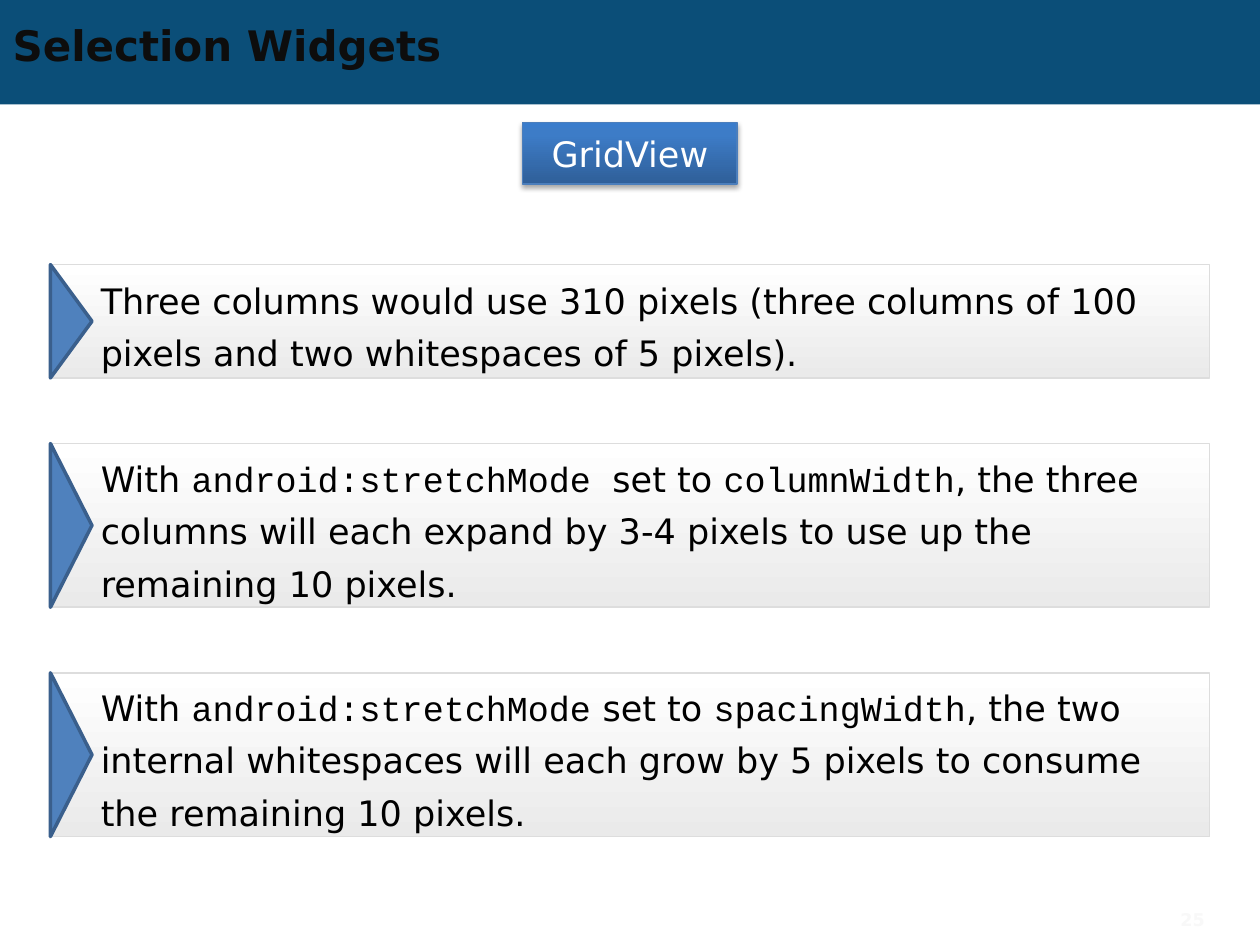
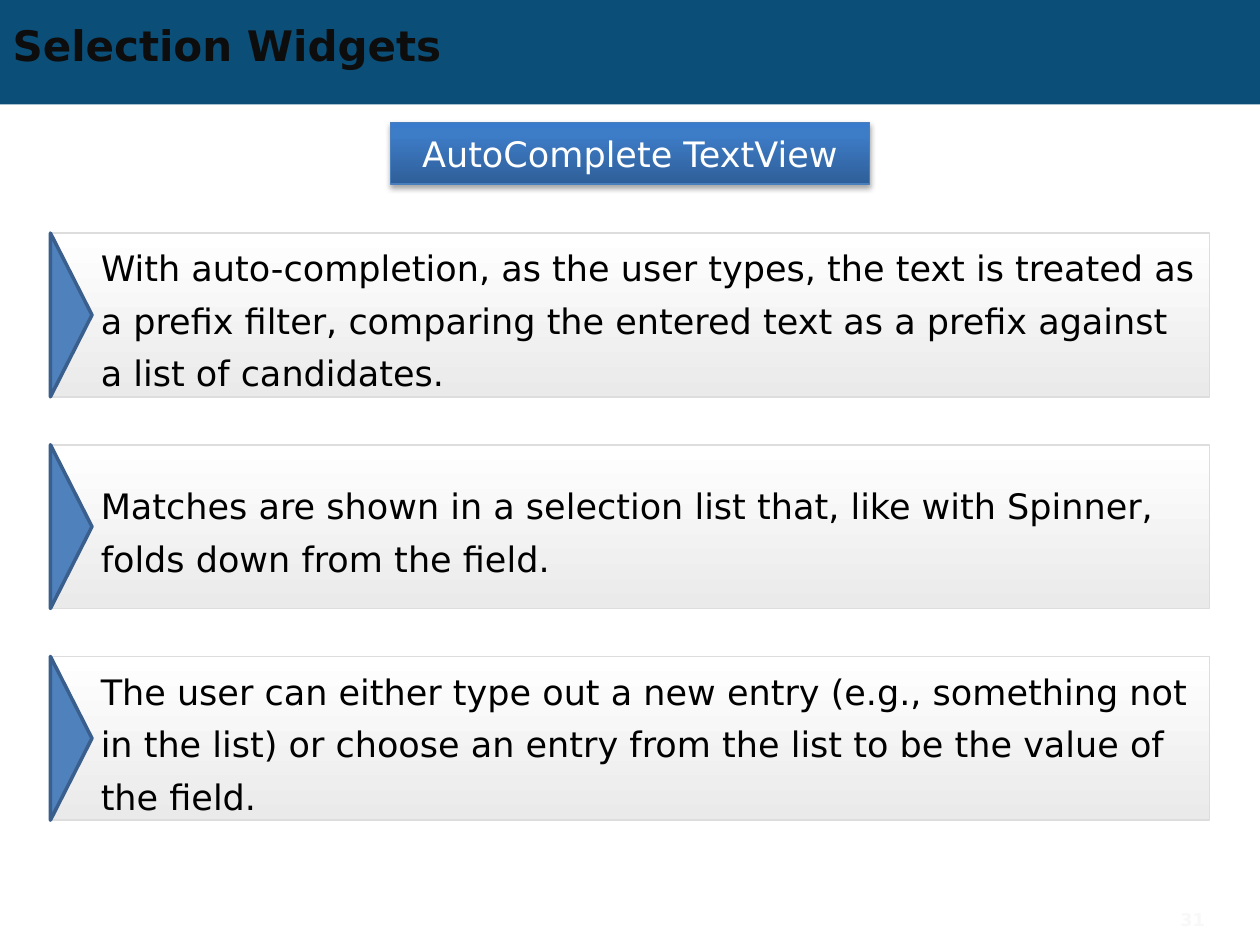
from lxml.etree import SubElement
from pptx import Presentation
from pptx.dml.color import RGBColor
from pptx.enum.shapes import MSO_SHAPE
from pptx.enum.text import MSO_ANCHOR, MSO_AUTO_SIZE, PP_ALIGN
from pptx.oxml.ns import qn
from pptx.util import Inches, Pt

COLORS = {
    "band": "0B4E78",
    "title": "0D0D0D",
    "text": "000000",
    "white": "FFFFFF",
    "topic_line": "4B7EBC",
    "topic_dark": "2F5F99",
    "topic_mid": "3D7CC7",
    "topic_light": "3A7CCB",
    "bar_end": "EAEAEA",
    "bar_line": "DDDDDD",
    "arrow": "4F81BD",
    "arrow_line": "3A5F8C",
    "number": "F8F8F8",
}
COLORS = {name: RGBColor.from_string(value) for name, value in COLORS.items()}
FONT, CODE_FONT = "DejaVu Sans", "Courier New"

BAR_LEFT, BAR_WIDTH, ARROW_DEPTH = 0.4, 9.2, 0.33

# Words between backticks are set in the code font.
SLIDES = [
    {
        "topic": "GridView", "topic_width": 1.7, "number": "25",
        "top": 2.1, "gap": 0.52,
        "bars": [
            (0.9, "Three columns would use 310 pixels (three columns of 100 pixels "
                  "and two whitespaces of 5 pixels)."),
            (1.3, "With `android:stretchMode `set to `columnWidth`, the three columns "
                  "will each expand by 3-4 pixels to use up the remaining 10 pixels."),
            (1.3, "With `android:stretchMode` set to `spacingWidth`, the two internal "
                  "whitespaces will each grow by 5 pixels to consume the remaining 10 pixels."),
        ],
    },
    {
        "topic": "AutoComplete TextView", "topic_width": 3.8, "number": "31",
        "top": 1.85, "gap": 0.38,
        "bars": [
            (1.3, "With auto-completion, as the user types, the text is treated as a prefix "
                  "filter, comparing the entered text as a prefix against a list of candidates."),
            (1.3, "Matches are shown in a selection list that, like with Spinner, "
                  "folds down from the field."),
            (1.3, "The user can either type out a new entry (e.g., something not in the list) "
                  "or choose an entry from the list to be the value of the field."),
        ],
    },
]


def write_text(shape, text, size=20, color="text", bold=False,
               align=PP_ALIGN.LEFT, spacing=None, margins=(0.1, 0.05, 0.1, 0.05)):
    frame = shape.text_frame
    frame.word_wrap = True
    frame.auto_size = MSO_AUTO_SIZE.NONE
    frame.vertical_anchor = MSO_ANCHOR.MIDDLE
    (frame.margin_left, frame.margin_top,
     frame.margin_right, frame.margin_bottom) = map(Inches, margins)
    paragraph = frame.paragraphs[0]
    paragraph.alignment = align
    if spacing:
        paragraph.line_spacing = Pt(spacing)
    for index, piece in enumerate(text.split("`")):
        run = paragraph.add_run()
        run.text = piece
        run.font.name = CODE_FONT if index % 2 else FONT
        run.font.size = Pt(size)
        run.font.bold = bold
        run.font.color.rgb = COLORS[color]


def fill_gradient(shape, stops, angle):
    shape.fill.gradient()
    gradient = shape.element.spPr.find(qn("a:gradFill"))
    stop_list = gradient.find(qn("a:gsLst"))
    for stop in list(stop_list):
        stop_list.remove(stop)
    for position, color in stops:
        stop = SubElement(stop_list, qn("a:gs"), pos=str(position * 1000))
        SubElement(stop, qn("a:srgbClr"), val=str(COLORS[color]))
    gradient.find(qn("a:lin")).set("ang", str(angle * 60000))


presentation = Presentation()
presentation.slide_width = Inches(10)
presentation.slide_height = Inches(7.5)
layout = presentation.slide_layouts[5]

for page, content in enumerate(SLIDES):
    slide = presentation.slides.add_slide(layout)

    # Header band, made once and moved to the shared layout
    if page == 0:
        band = slide.shapes.add_shape(MSO_SHAPE.RECTANGLE, 0, 0, Inches(10), Inches(0.83))
        band.shadow.inherit = False
        band.fill.solid()
        band.fill.fore_color.rgb = COLORS["band"]
        band.line.fill.background()
        layout.shapes.element.insert(2, band.element)

    # Title
    title = slide.shapes.title
    title.left, title.top = Inches(0), Inches(0.14)
    title.width, title.height = Inches(9), Inches(0.43)
    write_text(title, "Selection Widgets", size=24, color="title", bold=True)

    # Topic label, centred under the band
    width = content["topic_width"]
    topic = slide.shapes.add_shape(MSO_SHAPE.RECTANGLE, Inches((10 - width) / 2),
                                   Inches(0.97), Inches(width), Inches(0.49))
    fill_gradient(topic, [(0, "topic_dark"), (80, "topic_mid"), (100, "topic_light")], 270)
    topic.line.color.rgb = COLORS["topic_line"]
    topic.line.width = Pt(0.75)
    topic.shadow.inherit = False
    shadow = SubElement(topic.element.spPr.find(qn("a:effectLst")), qn("a:outerShdw"),
                        blurRad=str(Pt(3.1)), dist=str(Pt(1.8)), dir="5400000", rotWithShape="0")
    shadow_color = SubElement(shadow, qn("a:srgbClr"), val=str(COLORS["text"]))
    SubElement(shadow_color, qn("a:alpha"), val="35000")
    write_text(topic, content["topic"], color="white", align=PP_ALIGN.CENTER)

    # Text bars, each grouped with its arrow
    top = content["top"]
    for height, text in content["bars"]:
        group = slide.shapes.add_group_shape()
        bar = group.shapes.add_shape(MSO_SHAPE.RECTANGLE, Inches(BAR_LEFT), Inches(top),
                                     Inches(BAR_WIDTH), Inches(height))
        bar.shadow.inherit = False
        fill_gradient(bar, [(0, "white"), (100, "bar_end")], 90)
        bar.line.color.rgb = COLORS["bar_line"]
        bar.line.width = Pt(1)
        write_text(bar, text, spacing=30, margins=(0.4, 0, 0.1, 0))

        # The triangle turns about its centre, so its width runs down the bar
        arrow = group.shapes.add_shape(
            MSO_SHAPE.ISOSCELES_TRIANGLE,
            Inches(BAR_LEFT + (ARROW_DEPTH - height) / 2),
            Inches(top + (height - ARROW_DEPTH) / 2),
            Inches(height), Inches(ARROW_DEPTH))
        arrow.rotation = 90
        arrow.shadow.inherit = False
        arrow.fill.solid()
        arrow.fill.fore_color.rgb = COLORS["arrow"]
        arrow.line.color.rgb = COLORS["arrow_line"]
        arrow.line.width = Pt(2)
        top += height + content["gap"]

    # Page number
    number = slide.shapes.add_textbox(Inches(8.66), Inches(7.15), Inches(1), Inches(0.3))
    write_text(number, content["number"], size=10, color="number", bold=True,
               align=PP_ALIGN.RIGHT)

presentation.save("out.pptx")
